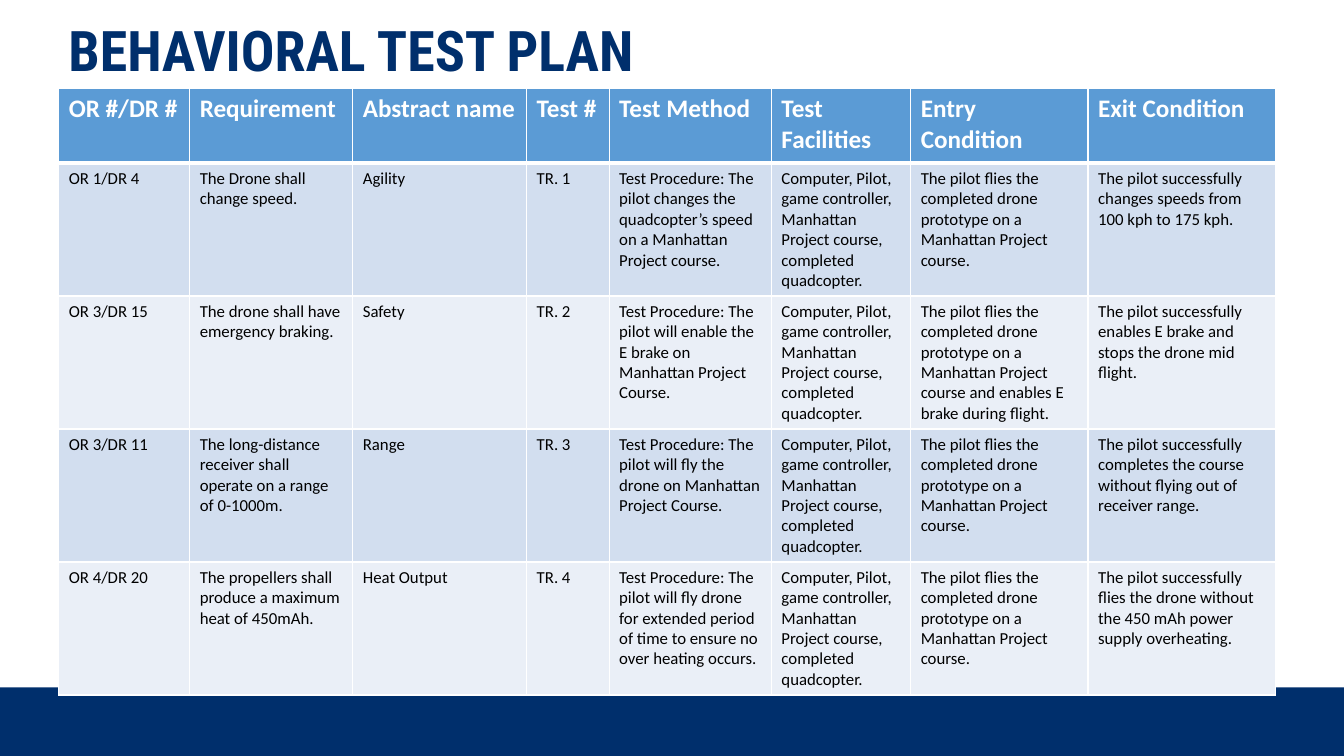
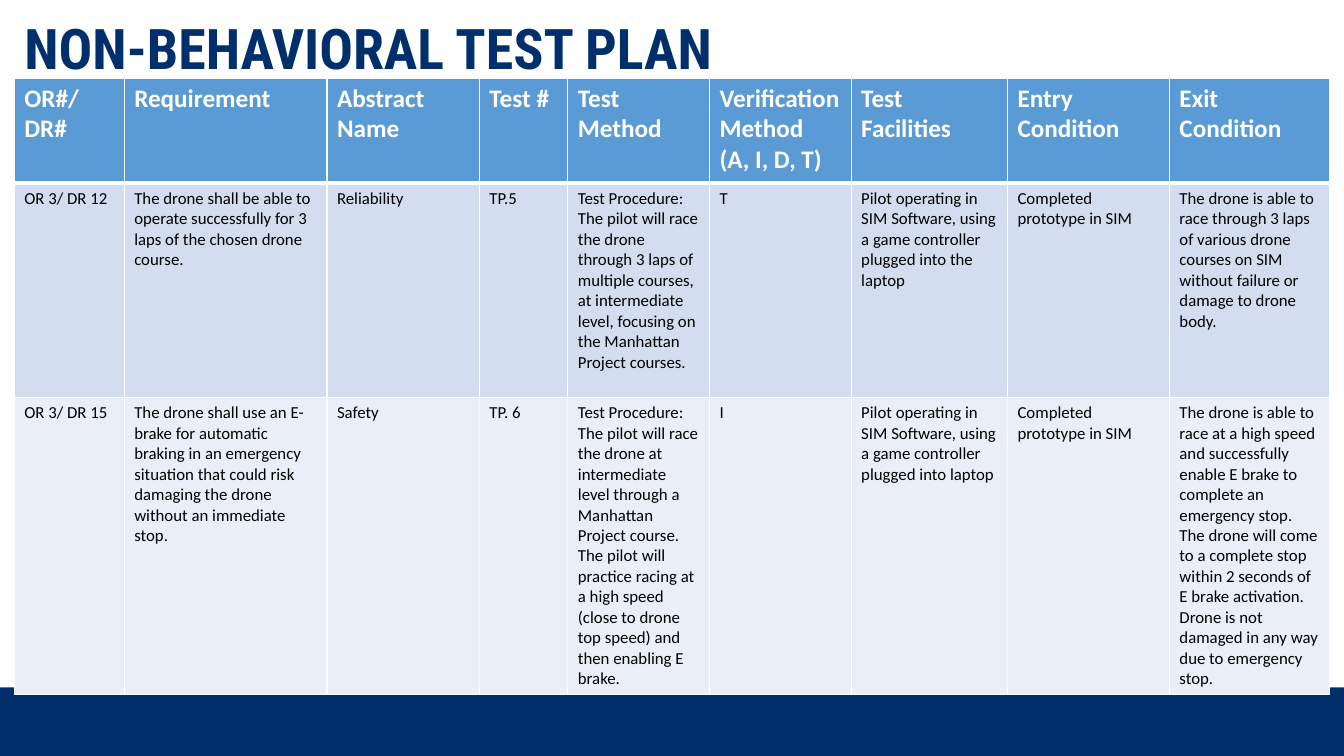
from lxml import etree
from pptx import Presentation
from pptx.dml.color import RGBColor
from pptx.enum.shapes import MSO_SHAPE
from pptx.enum.text import MSO_ANCHOR, MSO_AUTO_SIZE, PP_ALIGN
from pptx.oxml.ns import qn
from pptx.util import Cm, Pt

RECTANGLE = MSO_SHAPE.RECTANGLE
LEFT = PP_ALIGN.LEFT
TOP = MSO_ANCHOR.TOP
NO_AUTOFIT = MSO_AUTO_SIZE.NONE

NAVY = RGBColor(0x00, 0x2F, 0x6C)
HEADER_BLUE = RGBColor(0x5B, 0x9B, 0xD5)
BAND_FILLS = (RGBColor(0xD2, 0xDE, 0xEF), RGBColor(0xEA, 0xEF, 0xF7))
WHITE = RGBColor(0xFF, 0xFF, 0xFF)
BLACK = RGBColor(0x00, 0x00, 0x00)

SLIDE_WIDTH, SLIDE_HEIGHT = Cm(33.87), Cm(19.05)
BAND_TOP = Cm(17.32)
TITLE_WIDTH, TITLE_HEIGHT = Cm(30.66), Cm(1.55)
THIN, THICK = Pt(1), Pt(3)
TITLE_ONLY = 5
FOOTER_INDEXES = (10, 11, 12)

TITLE_FONT = {"name": "Roboto Condensed", "size": Pt(40), "bold": True}
HEADER_FONT = {"name": "Calibri", "size": Pt(18), "bold": True}
BODY_FONT = {"name": "Calibri", "size": Pt(12), "bold": False}

FACILITIES = ("Computer, Pilot, game controller, Manhattan Project course, "
              "completed quadcopter.")
FLIGHT = "The pilot flies the completed drone prototype on a Manhattan Project course"
PROTOTYPE = "Completed prototype in SIM"

BEHAVIORAL = {
    "title": "BEHAVIORAL TEST PLAN",
    "title_at": (Cm(1.47), Cm(0.46)),
    "table_at": (Cm(1.48), Cm(2.23)),
    "columns": (3.3, 4.11, 4.38, 2.08, 4.09, 3.51, 4.47, 4.72),
    "rows": (1.88, 3.35, 3.35, 3.35, 3.35),
    "cells": (
        ("OR #/DR #", "Requirement", "Abstract name", "Test #", "Test Method",
         "Test Facilities", "Entry Condition", "Exit Condition"),
        ("OR 1/DR 4", "The Drone shall change speed.", "Agility", "TR. 1",
         "Test Procedure: The pilot changes the quadcopter’s speed on a "
         "Manhattan Project course.",
         FACILITIES, FLIGHT + ".",
         "The pilot successfully changes speeds from 100 kph to 175 kph."),
        ("OR 3/DR 15", "The drone shall have emergency braking.", "Safety", "TR. 2",
         "Test Procedure: The pilot will enable the E brake on Manhattan "
         "Project Course.",
         FACILITIES, FLIGHT + " and enables E brake during flight.",
         "The pilot successfully enables E brake and stops the drone mid flight."),
        ("OR 3/DR 11",
         "The long-distance receiver shall operate on a range of 0-1000m.",
         "Range", "TR. 3",
         "Test Procedure: The pilot will fly the drone on Manhattan Project Course.",
         FACILITIES, FLIGHT + ".",
         "The pilot successfully completes the course without flying out of "
         "receiver range."),
        ("OR 4/DR 20", "The propellers shall produce a maximum heat of 450mAh.",
         "Heat Output", "TR. 4",
         "Test Procedure: The pilot will fly drone for extended period of time "
         "to ensure no over heating occurs.",
         FACILITIES, FLIGHT + ".",
         "The pilot successfully flies the drone without the 450 mAh power "
         "supply overheating."),
    ),
}

NON_BEHAVIORAL = {
    "title": "NON-BEHAVIORAL TEST PLAN",
    "title_at": (Cm(0.36), Cm(0.41)),
    "table_at": (Cm(0.36), Cm(1.97)),
    "columns": (2.77, 5.11, 3.84, 2.23, 3.57, 3.57, 3.94, 4.08, 4.04),
    "rows": (2.65, 5.4, 7.46),
    "cells": (
        ("OR#/DR#", "Requirement", "Abstract Name", "Test #", "Test Method",
         "Verification Method\n(A, I, D, T)", "Test Facilities",
         "Entry Condition", "Exit Condition"),
        ("OR 3/ DR 12",
         "The drone shall be able to operate successfully for 3 laps of the "
         "chosen drone course.",
         "Reliability", "TP.5",
         "Test Procedure: The pilot will race the drone through 3 laps of "
         "multiple courses, at intermediate level, focusing on the Manhattan "
         "Project courses.",
         "T",
         "Pilot operating in SIM Software, using a game controller plugged "
         "into the laptop",
         PROTOTYPE,
         "The drone is able to race through 3 laps of various drone courses on "
         "SIM without failure or damage to drone body."),
        ("OR 3/ DR 15",
         "The drone shall use an E-brake for automatic braking in an emergency "
         "situation that could risk damaging the drone without an immediate stop.",
         "Safety", "TP. 6",
         "Test Procedure: The pilot will race the drone at intermediate level "
         "through a Manhattan Project course. The pilot will practice racing at "
         "a high speed (close to drone top speed) and then enabling E brake.",
         "I",
         "Pilot operating in SIM Software, using a game controller plugged "
         "into laptop",
         PROTOTYPE,
         "The drone is able to race at a high speed and successfully enable E "
         "brake to complete an emergency stop. The drone will come to a complete "
         "stop within 2 seconds of E brake activation. Drone is not damaged in "
         "any way due to emergency stop."),
    ),
}


def format_font(font, color, values):
    for name, value in values.items():
        setattr(font, name, value)
    font.color.rgb = color


def remove_footers(layout):
    for placeholder in list(layout.placeholders):
        if placeholder.placeholder_format.idx in FOOTER_INDEXES:
            layout.shapes.element.remove(placeholder.element)


def keep_only_layout(presentation, layout):
    for other in list(presentation.slide_layouts):
        if other.name != layout.name:
            presentation.slide_layouts.remove(other)


def add_band_to_layout(layout, slide):
    """Draw the bottom band on a slide, then move it behind the layout's parts."""
    band = slide.shapes.add_shape(
        RECTANGLE, 0, BAND_TOP, SLIDE_WIDTH, SLIDE_HEIGHT - BAND_TOP)
    band.shadow.inherit = False
    band.fill.solid()
    band.fill.fore_color.rgb = NAVY
    band.line.fill.background()
    layout.shapes.element.insert(2, band.element)


def place_title(title, text, left, top):
    title.left, title.top = left, top
    title.width, title.height = TITLE_WIDTH, TITLE_HEIGHT
    frame = title.text_frame
    frame.text = text
    frame.word_wrap = True
    frame.auto_size = NO_AUTOFIT
    frame.vertical_anchor = TOP
    paragraph = frame.paragraphs[0]
    paragraph.alignment = LEFT
    paragraph.line_spacing = 0.9
    format_font(paragraph.runs[0].font, NAVY, TITLE_FONT)


def set_borders(cell, top, bottom):
    properties = cell._tc.get_or_add_tcPr()
    for side, width in (("L", THIN), ("R", THIN), ("T", top), ("B", bottom)):
        line = etree.SubElement(properties, qn(f"a:ln{side}"), w=str(width))
        fill = etree.SubElement(line, qn("a:solidFill"))
        etree.SubElement(fill, qn("a:srgbClr"), val=str(WHITE))


def fill_cell(cell, text, row_index):
    is_header = row_index == 0
    cell.text = text
    set_borders(cell, THICK if row_index == 1 else THIN, THICK if is_header else THIN)
    cell.fill.solid()
    cell.fill.fore_color.rgb = (
        HEADER_BLUE if is_header else BAND_FILLS[(row_index - 1) % 2])
    for paragraph in cell.text_frame.paragraphs:
        for run in paragraph.runs:
            format_font(run.font, WHITE if is_header else BLACK,
                        HEADER_FONT if is_header else BODY_FONT)


def add_plan_table(slide, plan):
    columns = [Cm(width) for width in plan["columns"]]
    rows = [Cm(height) for height in plan["rows"]]
    table = slide.shapes.add_table(
        len(rows), len(columns), *plan["table_at"], sum(columns), sum(rows)).table
    table.horz_banding = False
    for column, width in zip(table.columns, columns):
        column.width = width
    for row_index, texts in enumerate(plan["cells"]):
        table.rows[row_index].height = rows[row_index]
        for column_index, text in enumerate(texts):
            fill_cell(table.cell(row_index, column_index), text, row_index)


def add_plan_slide(presentation, layout, plan):
    slide = presentation.slides.add_slide(layout)
    place_title(slide.shapes.title, plan["title"], *plan["title_at"])
    add_plan_table(slide, plan)
    return slide


def main():
    presentation = Presentation()
    presentation.slide_width, presentation.slide_height = SLIDE_WIDTH, SLIDE_HEIGHT
    layout = presentation.slide_layouts[TITLE_ONLY]
    keep_only_layout(presentation, layout)
    remove_footers(layout)
    slides = [add_plan_slide(presentation, layout, plan)
              for plan in (BEHAVIORAL, NON_BEHAVIORAL)]
    add_band_to_layout(layout, slides[0])
    presentation.save("out.pptx")


if __name__ == "__main__":
    main()
